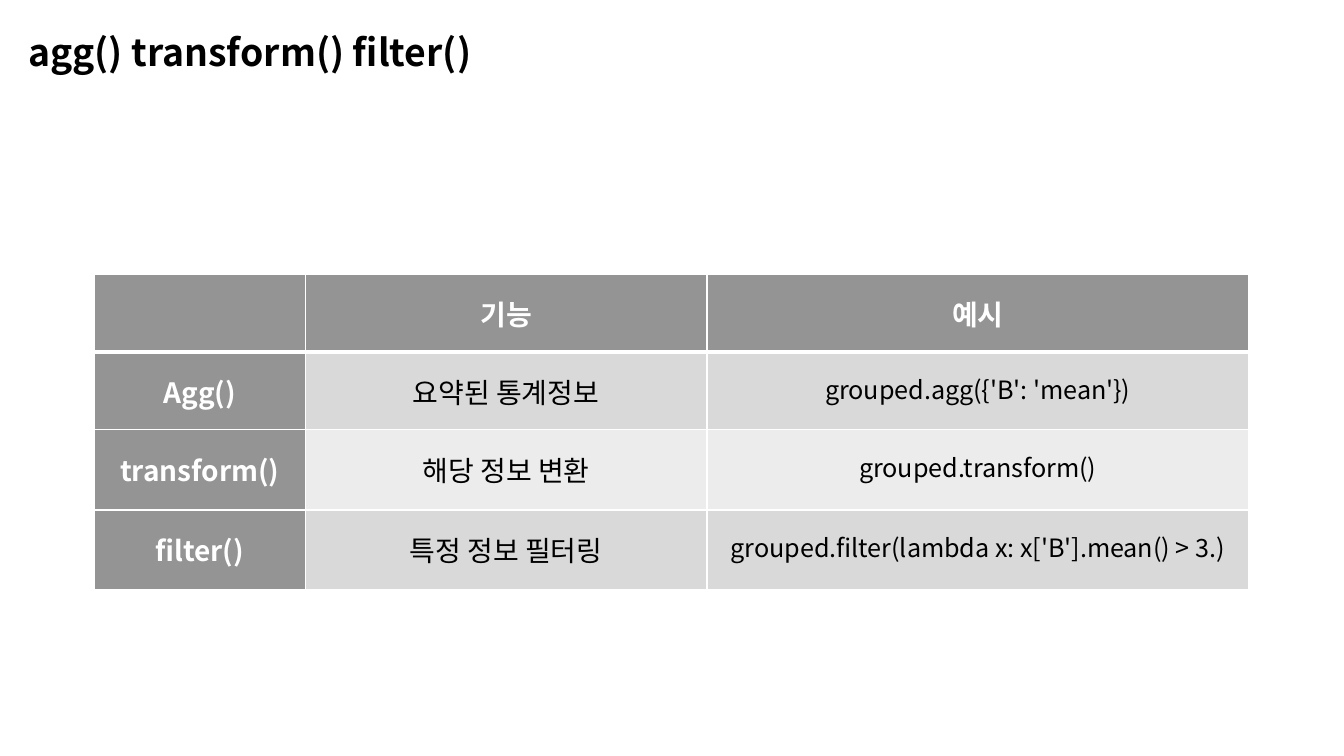
import dataclasses

import lxml.etree
import pptx
import pptx.dml.color
import pptx.enum.text
import pptx.oxml.ns
import pptx.util

Cm, Pt = pptx.util.Cm, pptx.util.Pt
RGB = pptx.dml.color.RGBColor.from_string
ALIGN, ANCHOR = pptx.enum.text.PP_ALIGN, pptx.enum.text.MSO_ANCHOR
qn = pptx.oxml.ns.qn


@dataclasses.dataclass(frozen=True)
class Theme:
    font: str = "Noto Sans CJK KR"
    text: str = "000000"
    light: str = "FFFFFF"
    header: str = "949494"
    bands: tuple = ("D9D9D9", "ECECEC")
    title_size: float = 20
    label_size: float = 15
    code_size: float = 13.5
    thin: float = 0.75
    thick: float = 2.25
    inset: float = 0.25
    line_spacing: float = 1.15


class SlideBuilder:
    def __init__(self, slide, theme):
        self.s = slide
        self.theme = theme

    def style(self, p, size, color, bold):
        p.font.size = Pt(size)
        p.font.bold = bold
        p.font.color.rgb = RGB(color)
        p.font.name = self.theme.font
        # Hangul is set in the East Asian font
        props = p._p.get_or_add_pPr().get_or_add_defRPr()
        lxml.etree.SubElement(props, qn("a:ea"), typeface=self.theme.font)

    def inset(self, box):
        box.margin_left = box.margin_right = Cm(self.theme.inset)
        box.margin_top = box.margin_bottom = Cm(self.theme.inset)

    def title(self, text, left, top, width, height):
        sp = self.s.shapes.title
        sp.left, sp.top, sp.width, sp.height = map(Cm, (left, top, width, height))
        tf = sp.text_frame
        tf.text = text
        tf.word_wrap = True
        tf.auto_size = pptx.enum.text.MSO_AUTO_SIZE.NONE
        tf.vertical_anchor = ANCHOR.MIDDLE
        self.inset(tf)
        p = tf.paragraphs[0]
        p.alignment = ALIGN.LEFT
        self.style(p, self.theme.title_size, self.theme.text, True)

    def borders(self, cell, top, bottom):
        """Draw all four cell borders; top and bottom are widths in points."""
        thin = self.theme.thin
        sides = {"a:lnL": thin, "a:lnR": thin, "a:lnT": top, "a:lnB": bottom}
        tc_pr = cell._tc.get_or_add_tcPr()
        for i, (tag, width) in enumerate(sides.items()):
            ln = lxml.etree.Element(qn(tag), w=str(Pt(width)))
            fill = lxml.etree.SubElement(ln, qn("a:solidFill"))
            lxml.etree.SubElement(fill, qn("a:srgbClr"), val=self.theme.light)
            tc_pr.insert(i, ln)

    def cell(self, cell, text, row, col):
        t = self.theme
        is_header = row == 0 or col == 0
        cell.text = text
        cell.vertical_anchor = ANCHOR.TOP
        self.inset(cell)
        cell.fill.solid()
        cell.fill.fore_color.rgb = RGB(t.header if is_header else t.bands[(row - 1) % 2])
        self.borders(cell, top=t.thick if row == 1 else t.thin,
                     bottom=t.thick if row == 0 else t.thin)
        p = cell.text_frame.paragraphs[0]
        p.alignment = ALIGN.CENTER
        p.line_spacing = t.line_spacing
        size = t.code_size if col == 2 and not is_header else t.label_size
        self.style(p, size, t.light if is_header else t.text, is_header)

    def table(self, rows, left, top, widths, heights):
        frame = self.s.shapes.add_table(len(heights), len(widths), Cm(left), Cm(top),
                                        Cm(sum(widths)), Cm(sum(heights)))
        table = frame.table
        table.first_row = table.horz_banding = False
        for column, width in zip(table.columns, widths):
            column.width = Cm(width)
        for row, height in zip(table.rows, heights):
            row.height = Cm(height)
        for r, texts in enumerate(rows):
            for c, text in enumerate(texts):
                self.cell(table.cell(r, c), text, r, c)


def main():
    prs = pptx.Presentation()
    prs.slide_width, prs.slide_height = Cm(25.4), Cm(14.29)
    slide = SlideBuilder(prs.slides.add_slide(prs.slide_layouts[5]), Theme())
    slide.title("agg() transform() filter()", 0.28, 0.18, 24.82, 1.6)
    slide.table(
        [
            ("", "기능", "예시"),
            ("Agg()", "요약된 통계정보", "grouped.agg({'B': 'mean'})"),
            ("transform()", "해당 정보 변환", "grouped.transform()"),
            ("filter()", "특정 정보 필터링", "grouped.filter(lambda x: x['B'].mean() > 3.)"),
        ],
        left=1.78, top=5.18,
        widths=(3.99, 7.59, 10.24), heights=(1.47, 1.47, 1.52, 1.5),
    )
    prs.save("out.pptx")


if __name__ == "__main__":
    main()
